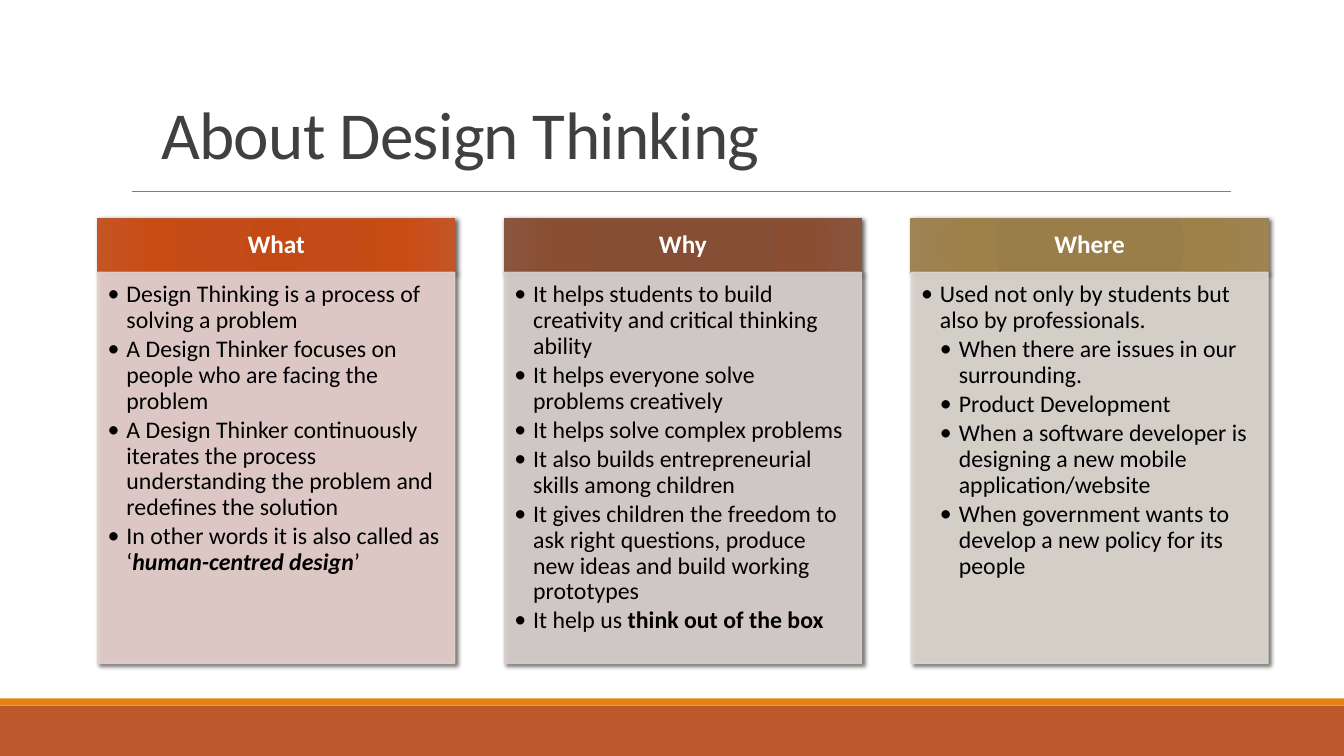
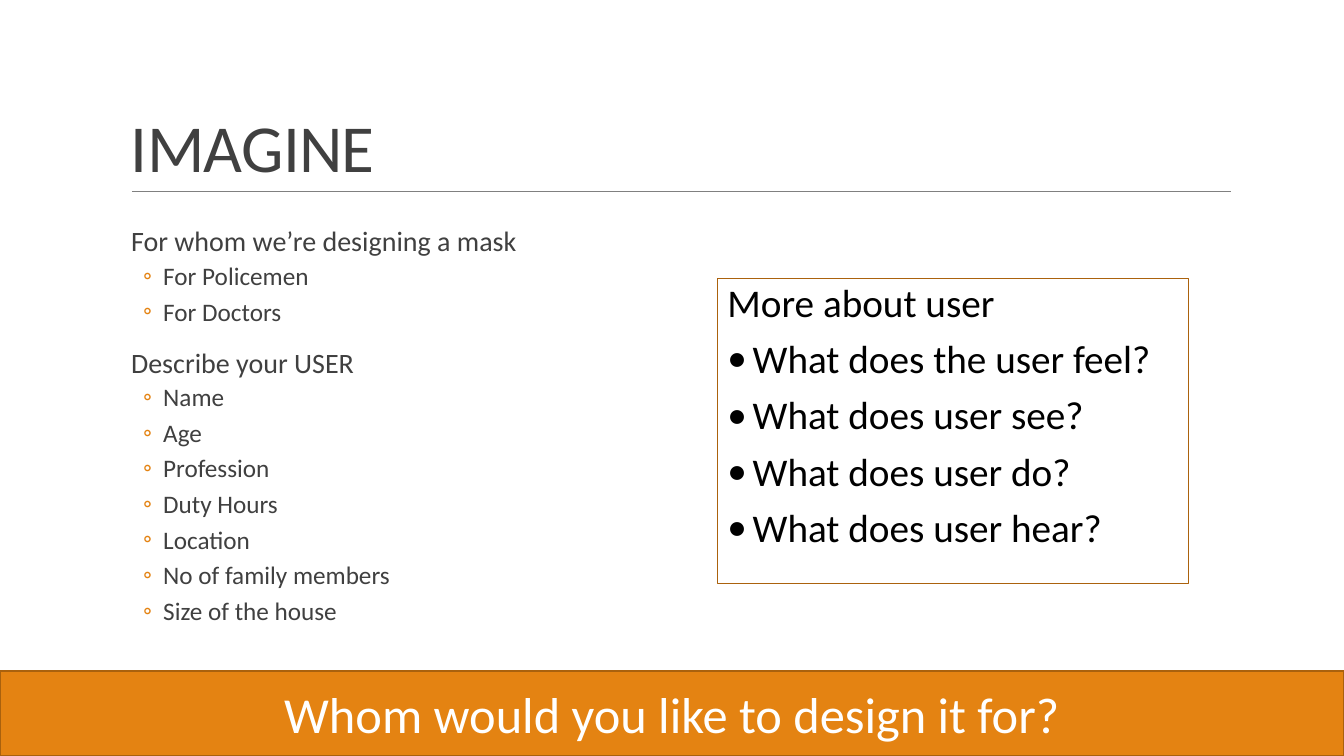
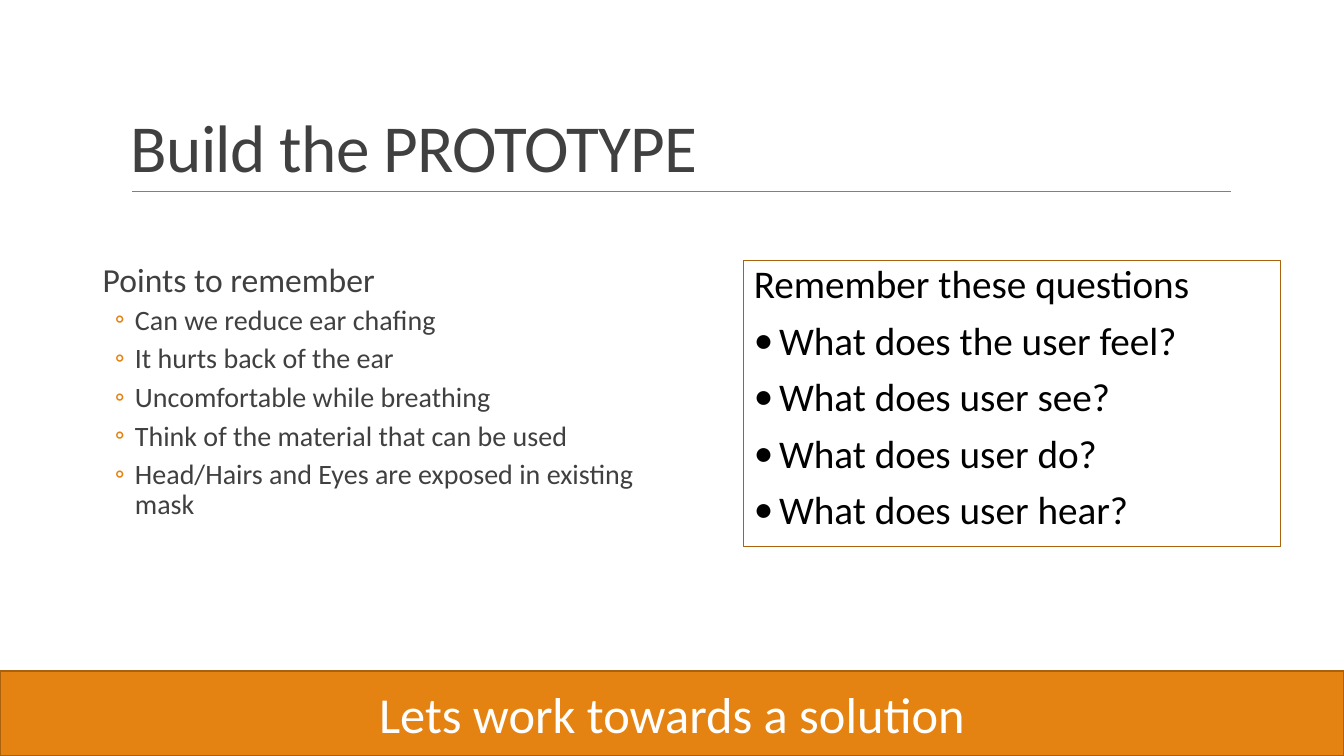
from lxml import etree
from pptx import Presentation
from pptx import util as u
from pptx.dml import color
from pptx.enum import shapes, text
from pptx.oxml import ns

colour = color.RGBColor.from_string
FONT = "Calibri"
ORANGE, RUST, GREY, BLACK, WHITE = "E48312", "BD582C", "404040", "000000", "FFFFFF"
LEFT, CENTRE = text.PP_ALIGN.LEFT, text.PP_ALIGN.CENTER
TOP, MIDDLE, BOTTOM = text.MSO_ANCHOR.TOP, text.MSO_ANCHOR.MIDDLE, text.MSO_ANCHOR.BOTTOM
WIDTH, HEIGHT = 960, 540

# Paragraph styles, lengths in points
TITLE = {"size": 48, "colour": GREY, "line": 0.85}
COLUMN_HEAD = {"size": 18, "colour": WHITE, "bold": True, "align": CENTRE, "line": 0.9}
POINT = {"size": 17, "colour": BLACK, "line": 0.9, "after": 2.5,
         "left": 13.5, "hang": 13.5, "bullet": "•"}
SUBPOINT = POINT | {"left": 27}
TOPIC = {"size": 20, "colour": GREY, "line": 0.9, "before": 12, "after": 2, "left": 7.2}
ITEM = {"size": 18, "colour": GREY, "line": 0.9, "before": 2, "after": 4,
        "left": 30.2, "hang": 14.4, "bullet": "◦", "bullet_colour": ORANGE}
QUESTION_HEAD = {"size": 28, "colour": BLACK, "line": 0.9, "before": 10}
QUESTION = QUESTION_HEAD | {"left": 18, "hang": 18, "bullet": "•"}
BANNER = {"size": 36, "colour": WHITE, "align": CENTRE}


def add_box(page, frame, fill=None, line=None, line_width=1, blur=0):
    """Rectangle with optional fill, outline and soft shadow."""
    box = page.shapes.add_shape(shapes.MSO_SHAPE.RECTANGLE, *map(u.Pt, frame))
    box.shadow.inherit = False
    if fill:
        box.fill.solid()
        box.fill.fore_color.rgb = colour(fill)
    else:
        box.fill.background()
    if line:
        box.line.color.rgb = colour(line)
        box.line.width = u.Pt(line_width)
    else:
        box.line.fill.background()
    if blur:
        effects = box._element.spPr.find(ns.qn("a:effectLst"))
        shadow = etree.SubElement(effects, ns.qn("a:outerShdw"), blurRad=str(u.Pt(blur)),
                                  dist=str(u.Pt(2)), dir="2700000", rotWithShape="0")
        tint = etree.SubElement(shadow, ns.qn("a:srgbClr"), val=BLACK)
        etree.SubElement(tint, ns.qn("a:alpha"), val="60000")
    return box


def write(box, lines, anchor=TOP, insets=(7.2, 3.6, 7.2, 3.6)):
    """Fill a box with (style, text) lines; text between asterisks is bold."""
    frame = box.text_frame
    frame.word_wrap = True
    frame.vertical_anchor = anchor
    (frame.margin_left, frame.margin_top,
     frame.margin_right, frame.margin_bottom) = map(u.Pt, insets)
    for number, (style, words) in enumerate(lines):
        para = frame.add_paragraph() if number else frame.paragraphs[0]
        para.alignment = style.get("align", LEFT)
        para.line_spacing = style.get("line", 1.0)
        para.space_before = u.Pt(style.get("before", 0))
        para.space_after = u.Pt(style.get("after", 0))
        props = para._p.get_or_add_pPr()
        props.set("marL", str(u.Pt(style.get("left", 0))))
        props.set("indent", str(-u.Pt(style.get("hang", 0))))
        if "bullet" in style:
            if "bullet_colour" in style:
                tint = etree.SubElement(props, ns.qn("a:buClr"))
                etree.SubElement(tint, ns.qn("a:srgbClr"), val=style["bullet_colour"])
            etree.SubElement(props, ns.qn("a:buFont"), typeface=FONT)
            etree.SubElement(props, ns.qn("a:buChar"), char=style["bullet"])
        for part, piece in enumerate(words.split("*")):
            span = para.add_run()
            span.text = piece
            span.font.name = FONT
            span.font.size = u.Pt(style["size"])
            span.font.color.rgb = colour(style["colour"])
            span.font.bold = style.get("bold", False) or part % 2 == 1


deck = Presentation()
deck.slide_width, deck.slide_height = u.Pt(WIDTH), u.Pt(HEIGHT)

# Title and rule on every slide
titles = [
    ("About Design Thinking", (108, 54, 756, 73.4)),
    ("IMAGINE", (86.4, 22.3, 792, 114.5)),
    ("Build the PROTOTYPE", (86.4, 22.3, 792, 114.5)),
]
pages = []
for words, frame in titles:
    page = deck.slides.add_slide(deck.slide_layouts[6])
    rule = page.shapes.add_connector(shapes.MSO_CONNECTOR.STRAIGHT,
                                     u.Pt(94.3), u.Pt(136.8), u.Pt(879.1), u.Pt(136.8))
    rule.line.color.rgb = colour("808080")
    rule.line.width = u.Pt(0.5)
    etree.SubElement(rule._element.spPr, ns.qn("a:effectLst"))
    title = page.shapes.add_textbox(*map(u.Pt, frame))
    write(title, [(TITLE, words)], BOTTOM)
    title.text_frame.paragraphs[0].runs[0]._r.get_or_add_rPr().set("spc", "-50")
    pages.append(page)

# Slide 1: footer strips
add_box(pages[0], (0, 504, WIDTH, 36), RUST)
add_box(pages[0], (0, 498.8, WIDTH, 5.2), ORANGE)

# Slide 1: three columns
columns = [
    ("What", ("C44A15", "C34C18", "C94C15", "C45525"), RUST, "E8D1CD", [
        (POINT, "Design Thinking is a process of solving a problem"),
        (POINT, "A Design Thinker focuses on people who are facing the problem"),
        (POINT, "A Design Thinker continuously iterates the process understanding "
                "the problem and redefines the solution"),
        (POINT, "In other words it is also called as ‘*human-centred design*’"),
    ]),
    ("Why", ("874C32", "864E34", "8A4E33", "8A553D"), "865640", "D9D1CF", [
        (POINT, "It helps students to build creativity and critical thinking ability"),
        (POINT, "It helps everyone solve problems creatively"),
        (POINT, "It helps solve complex problems"),
        (POINT, "It also builds entrepreneurial skills among children"),
        (POINT, "It gives children the freedom to ask right questions, produce new "
                "ideas and build working prototypes"),
        (POINT, "It help us *think out of the box*"),
    ]),
    ("Where", ("9A7D48", "9A7E4A", "9E8049", "9E8454"), "9B8357", "DED9D1", [
        (POINT, "Used not only by students but also by professionals."),
        (SUBPOINT, "When there are issues in our surrounding."),
        (SUBPOINT, "Product Development"),
        (SUBPOINT, "When a software developer is designing a new mobile "
                   "application/website"),
        (SUBPOINT, "When government wants to develop a new policy for its people"),
    ]),
]
for index, (name, stops, edge, pale, points) in enumerate(columns):
    left = 69.8 + index * 290.5
    head = add_box(pages[0], (left, 156, 255, 38.6), edge, edge, blur=3.5)
    solid = head._element.spPr.find(ns.qn("a:solidFill"))
    gradient = etree.Element(ns.qn("a:gradFill"), rotWithShape="1")
    stop_list = etree.SubElement(gradient, ns.qn("a:gsLst"))
    for position, stop in zip((0, 34, 70, 100), stops):
        mark = etree.SubElement(stop_list, ns.qn("a:gs"), pos=str(position * 1000))
        etree.SubElement(mark, ns.qn("a:srgbClr"), val=stop)
    circle = etree.SubElement(gradient, ns.qn("a:path"), {"path": "circle"})
    etree.SubElement(circle, ns.qn("a:fillToRect"), dict.fromkeys("ltrb", "100000"))
    head._element.spPr.replace(solid, gradient)
    write(head, [(COLUMN_HEAD, name)], MIDDLE, (10, 5.8, 10, 5.8))

    panel = add_box(pages[0], (left, 194.6, 255, 279.3), pale, pale, blur=3)
    for tint in panel._element.spPr.findall(".//" + ns.qn("a:solidFill")):
        etree.SubElement(tint[0], ns.qn("a:alpha"), val="90000")
    write(panel, points, insets=(7.1, 7.1, 9.5, 10.7))
    if name == "What":
        panel.text_frame.paragraphs[-1].runs[1].font.italic = True

# Slides 2 and 3: list, banner and question box
BIG_TOPIC, BIG_ITEM = TOPIC | {"size": 24}, ITEM | {"size": 20}
questions = ["What does the user feel?", "What does user see?",
             "What does user do?", "What does user hear?"]
exercises = [
    ((86.4, 159.1, 414, 298.8), [
        (TOPIC, "For whom we’re designing a mask"),
        (ITEM, "For Policemen"),
        (ITEM, "For Doctors"),
        (TOPIC, "Describe your USER"),
        (ITEM, "Name"),
        (ITEM, "Age"),
        (ITEM, "Profession"),
        (ITEM, "Duty Hours"),
        (ITEM, "Location"),
        (ITEM, "No of family members"),
        (ITEM, "Size of the house"),
    ], "Whom would you like to design it for?",
     "More about user", (512.6, 198.7, 336.2, 218.2)),
    ((66.2, 185, 414, 221.8), [
        (BIG_TOPIC, "Points to remember"),
        (BIG_ITEM, "Can we reduce ear chafing"),
        (BIG_ITEM, "It hurts back of the ear"),
        (BIG_ITEM, "Uncomfortable while breathing"),
        (BIG_ITEM, "Think of the material that can be used"),
        (BIG_ITEM, "Head/Hairs and Eyes are exposed in existing mask"),
    ], "Lets work towards a solution",
     "Remember these questions", (531.4, 185.8, 383, 204.5)),
]
for page, (list_frame, lines, call, heading, question_frame) in zip(pages[1:], exercises):
    listing = page.shapes.add_textbox(*map(u.Pt, list_frame))
    write(listing, lines, insets=(0, 3.6, 0, 3.6))
    banner = add_box(page, (0, 479.5, WIDTH, 60.5), ORANGE, "A9610D", 1.25)
    write(banner, [(BANNER, call)], MIDDLE)
    question_box = add_box(page, question_frame, None, "AB620D", 0.75)
    write(question_box, [(QUESTION_HEAD, heading)] + [(QUESTION, ask) for ask in questions])

deck.save("out.pptx")
